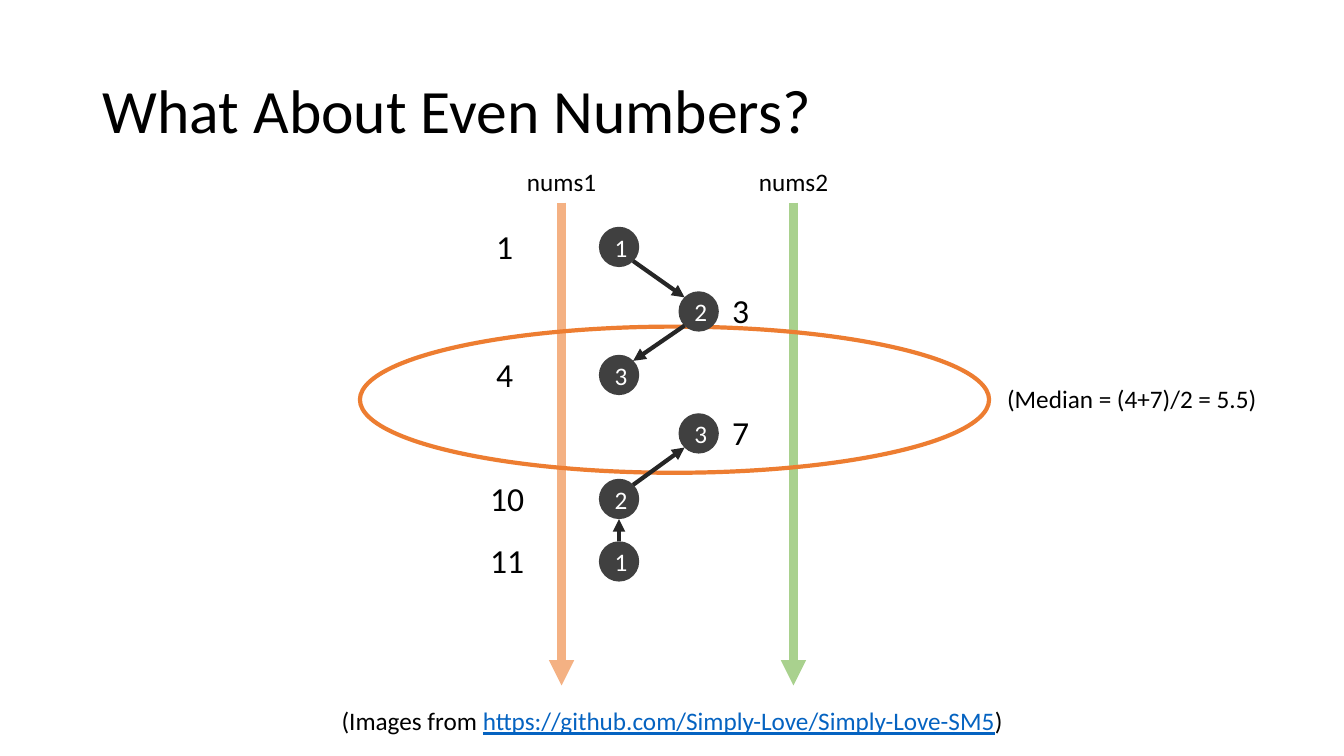
import pptx
import pptx.util
import pptx.dml.color
import pptx.enum.shapes
import pptx.enum.text
import pptx.oxml.ns
from lxml import etree

RGB = pptx.dml.color.RGBColor
BLACK = RGB(0x00, 0x00, 0x00)
WHITE = RGB(0xFF, 0xFF, 0xFF)
ORANGE = RGB(0xED, 0x7D, 0x31)
PEACH = RGB(0xF4, 0xB1, 0x83)
GREEN = RGB(0xA9, 0xD1, 0x8E)
NODE_GREY = RGB(0x40, 0x40, 0x40)
ARROW_GREY = RGB(0x26, 0x26, 0x26)
LINK_BLUE = RGB(0x05, 0x63, 0xC1)

SCALE = 9144  # EMU per px, 100 px to the inch
LEFT = pptx.enum.text.PP_ALIGN.LEFT
CENTER = pptx.enum.text.PP_ALIGN.CENTER
MIDDLE = pptx.enum.text.MSO_ANCHOR.MIDDLE
OVAL = pptx.enum.shapes.MSO_SHAPE.OVAL
STRAIGHT = pptx.enum.shapes.MSO_CONNECTOR.STRAIGHT

# Merge path: x, y, step number, value, centre of the value label
NODES = [
    (257, 85, "1", "1", 143),
    (336, 149, "2", "3", 377),
    (257, 212, "3", "4", 143),
    (336, 270, "3", "7", 377),
    (257, 335, "2", "10", 146),
    (257, 397, "1", "11", 146),
]
STEPS = [(0, 1), (1, 2), (5, 4), (4, 3)]
RADIUS, DIAGONAL = 20, 14


def px(*lengths):
    return [n * SCALE for n in lengths]


def write(tf, runs, size, align=CENTER):
    """Fill the first paragraph with (text, colour, underline) runs."""
    p = tf.paragraphs[0]
    p.alignment = align
    for text, color, underline in runs:
        r = p.add_run()
        r.text = text
        r.font.color.rgb = color
        fmt = {"name": "Calibri", "size": pptx.util.Pt(size), "underline": underline}
        for key, value in fmt.items():
            setattr(r.font, key, value)
    return p


def label(s, box, runs, size, align=CENTER):
    tf = s.shapes.add_textbox(*px(*box)).text_frame
    tf.word_wrap = False
    tf.auto_size = pptx.enum.text.MSO_AUTO_SIZE.SHAPE_TO_FIT_TEXT
    write(tf, runs, size, align)


def arrow(s, start, end, color, width):
    c = s.shapes.add_connector(STRAIGHT, *px(*start, *end))
    c.line.color.rgb = color
    c.line.width = pptx.util.Pt(width)
    qn = pptx.oxml.ns.qn
    etree.SubElement(c.line._get_or_add_ln(), qn("a:tailEnd"), type="triangle")
    etree.SubElement(c._element.spPr, qn("a:effectLst"))


def ellipse(s, box):
    sp = s.shapes.add_shape(OVAL, *px(*box))
    sp.shadow.inherit = False
    return sp


def title(s, box):
    sp = s.shapes.title
    for key, value in zip(("left", "top", "width", "height"), px(*box)):
        setattr(sp, key, value)
    sp.text_frame.vertical_anchor = MIDDLE
    p = write(sp.text_frame, [("What About Even Numbers?", BLACK, None)], 44, LEFT)
    p.line_spacing = 0.9


def diagram(s, box):
    x0, y0, w, h = box

    # Array axes
    for name, x, color in (("nums1", 200, PEACH), ("nums2", 430, GREEN)):
        arrow(s, (x0 + x, y0 + 41), (x0 + x, y0 + h), color, 6)
        label(s, (x0 + x - 45, y0, 90, 40), [(name, BLACK, None)], 18)

    # Values
    for _, y, _, value, x in NODES:
        width = 20 + 17 * len(value)
        place = (x0 + x - width // 2, y0 + y - 26, width, 50)
        label(s, place, [(value, BLACK, None)], 24)

    # Ring round the middle pair
    ring = ellipse(s, (x0, y0 + 164, w, 145))
    ring.fill.background()
    ring.line.color.rgb = ORANGE
    ring.line.width = pptx.util.Pt(3)

    # Numbered nodes
    for x, y, step, _, _ in NODES:
        node = ellipse(s, (x0 + x - RADIUS, y0 + y - RADIUS, 2 * RADIUS, 2 * RADIUS))
        node.fill.solid()
        node.fill.fore_color.rgb = NODE_GREY
        node.line.fill.background()
        node.text_frame.vertical_anchor = MIDDLE
        write(node.text_frame, [(step, WHITE, None)], 18)

    # Arrows from rim to rim
    for a, b in STEPS:
        (xa, ya), (xb, yb) = NODES[a][:2], NODES[b][:2]
        dx = DIAGONAL if xb > xa else -DIAGONAL if xb < xa else 0
        reach = DIAGONAL if dx else RADIUS
        dy = reach if yb > ya else -reach
        arrow(s, (x0 + xa + dx, y0 + ya + dy), (x0 + xb - dx, y0 + yb - dy), ARROW_GREY, 3)


def main():
    prs = pptx.Presentation()
    prs.slide_width, prs.slide_height = px(1333, 750)
    s = prs.slides.add_slide(prs.slide_layouts[5])
    title(s, (92, 40, 1150, 145))
    diagram(s, (357, 160, 624, 520))
    label(s, (989, 375, 271, 40), [("(Median = (4+7)/2 = 5.5)", BLACK, None)], 18, LEFT)
    credit = [
        ("(Images from ", BLACK, None),
        ("https://github.com/Simply-Love/Simply-Love-SM5", LINK_BLUE, True),
        (")", BLACK, None),
    ]
    label(s, (324, 695, 685, 40), credit, 18)
    prs.save("out.pptx")


if __name__ == "__main__":
    main()
